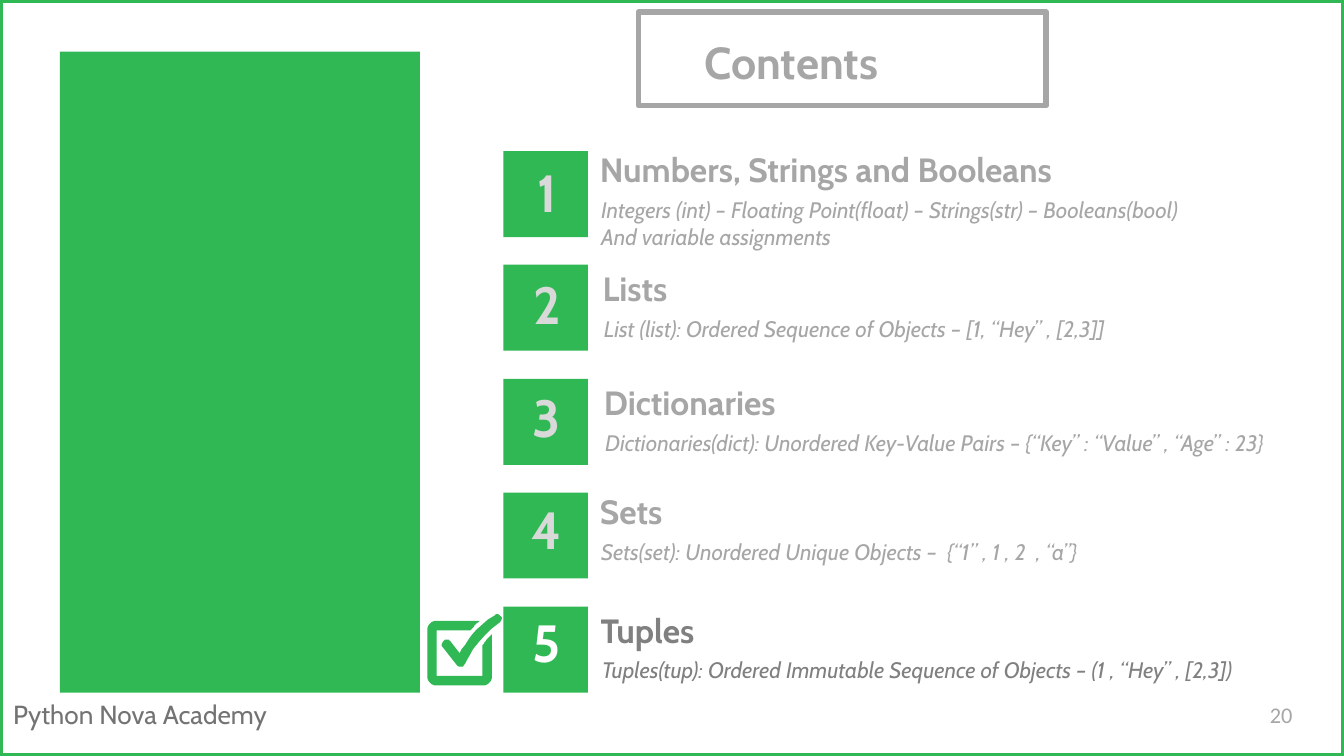
from pptx import Presentation
from pptx.dml.color import RGBColor as RGB
from pptx.enum.shapes import MSO_SHAPE as Shape
from pptx.enum.text import MSO_ANCHOR as Anchor, MSO_AUTO_SIZE as Auto, PP_ALIGN as Align
from pptx.util import Pt

PX = 4572
WIDE, HIGH = 2000, 1125
GREEN, GREY, DARK, PALE, WHITE = "30B854", "A6A6A6", "808080", "D9D9D9", "FFFFFF"

ROWS = [
    ("Numbers, Strings and Booleans",
     "Integers (int) – Floating Point(float) – Strings(str) – Booleans(bool)\n"
     "And variable assignments", 873, 200, 994),
    ("Lists", "List (list): Ordered Sequence of Objects – [1, “Hey” , [2,3]]", 877, 377, 994),
    ("Dictionaries",
     "Dictionaries(dict): Unordered Key-Value Pairs – {“Key” : “Value” , “Age” : 23}",
     879, 547, 1108),
    ("Sets", "Sets(set): Unordered Unique Objects –  {“1” , 1 , 2  , “a”}", 873, 709, 994),
    ("Tuples", "Tuples(tup): Ordered Immutable Sequence of Objects – (1 , “Hey” , [2,3])",
     874, 885, 1048),
]

TICK = [
    (740, 914), (738, 914, 738, 914, 736, 916), (708, 932, 692, 958, 684, 972),
    (670, 954), (668, 952, 666, 952, 664, 952), (662, 952, 662, 952, 660, 954),
    (658, 956, 656, 960, 658, 962), (680, 990), (682, 992, 684, 992, 686, 992),
    (688, 992, 690, 992, 692, 988), (692, 988, 708, 950, 744, 926),
    (746, 924, 748, 920, 746, 918), (744, 916, 742, 914, 740, 914),
]
FRAME = [
    (718, 960), (718, 1006), (650, 1006), (650, 938), (700, 938),
    (704, 934, 708, 928, 714, 924), (650, 924), (642, 924, 636, 930, 636, 938),
    (636, 1006), (636, 1014, 642, 1020, 650, 1020), (718, 1020),
    (726, 1020, 732, 1014, 732, 1006), (732, 944), (726, 950, 722, 954, 718, 960),
]


def color(code):
    return RGB.from_string(code)


def place(shape, *box):
    shape.left, shape.top, shape.width, shape.height = [n * PX for n in box]


def paint(shape, fill=None, line=None):
    shape.shadow.inherit = False
    if fill:
        shape.fill.solid()
        shape.fill.fore_color.rgb = color(fill)
    else:
        shape.fill.background()
    if line:
        shape.line.color.rgb = color(line)
        shape.line.width = Pt(3)
    else:
        shape.line.fill.background()


def add_rect(slide, *box, **style):
    rect = slide.shapes.add_shape(Shape.RECTANGLE, *[n * PX for n in box])
    paint(rect, **style)


def write(shape, text, size, tint, font="Cabin", bold=False, italic=False,
          align=Align.LEFT, anchor=Anchor.TOP, inset=20, space=None):
    frame = shape.text_frame
    frame.word_wrap = True
    frame.auto_size = Auto.NONE
    frame.vertical_anchor = anchor
    frame.margin_left = frame.margin_right = 20 * PX
    frame.margin_top = frame.margin_bottom = inset * PX
    frame.text = text
    for para in frame.paragraphs:
        para.alignment = align
        para.line_spacing = space
        for run in para.runs:
            run.font.name = font
            run.font.size = Pt(size)
            run.font.bold = bold
            run.font.italic = italic
            run.font.color.rgb = color(tint)


def add_text(slide, box, text, size, tint, **style):
    shape = slide.shapes.add_textbox(*[n * PX for n in box])
    write(shape, text, size, tint, **style)


def trace(moves, steps=8):
    points = [moves[0]]
    for move in moves[1:]:
        if len(move) == 2:
            points.append(move)
            continue
        start, ends = points[-1], (move[:2], move[2:4], move[4:])
        for step in range(1, steps + 1):
            t = step / steps
            u = 1 - t
            points.append(tuple(
                u**3 * a + 3 * u * u * t * b + 3 * u * t * t * c + t**3 * d
                for a, b, c, d in zip(start, *ends)))
    return points


def add_check(slide):
    group = slide.shapes.add_group_shape()
    for moves in (TICK, FRAME):
        first, *rest = trace(moves)
        path = group.shapes.build_freeform(*first, scale=PX)
        path.add_line_segments(rest, close=True)
        paint(path.convert_to_shape(), fill=GREEN)


def add_row(slide, index, head, note, left, top, width):
    last = index == len(ROWS) - 1
    tint = DARK if last else GREY
    add_rect(slide, 749, 225 + index * 339 // 2, 126, 128, fill=GREEN)
    add_text(slide, (676, 215 + index * 335 // 2, 276, 140), str(index + 1), 28,
             WHITE if last else PALE, bold=True, align=Align.CENTER, anchor=Anchor.MIDDLE)
    add_text(slide, (left, top, 1158, 102), head, 18, tint, bold=True, anchor=Anchor.BOTTOM)
    add_text(slide, (left + 2, top + 72, width, 110), note, 12, tint, italic=True)


def main():
    deck = Presentation()
    deck.slide_width, deck.slide_height = WIDE * PX, HIGH * PX
    slide = deck.slides.add_slide(deck.slide_layouts[5])
    add_text(slide, (0, 1030, 510, 68), "Python Nova Academy", 14, "737373", inset=10)
    add_rect(slide, 950, 18, 607, 139, line=GREY)
    add_rect(slide, 89, 77, 536, 954, fill=GREEN)
    add_rect(slide, 0, 0, WIDE, HIGH, line=GREEN)
    title = slide.shapes.title
    place(title, 1028, 44, 424, 82)
    write(title, "Contents", 24, GREY, bold=True, anchor=Anchor.MIDDLE, space=1.15)
    add_text(slide, (1870, 1021, 120, 86), "20", 12, GREY, font="Calibri", anchor=Anchor.MIDDLE)
    for index, row in enumerate(ROWS):
        add_row(slide, index, *row)
    add_check(slide)
    deck.save("out.pptx")


if __name__ == "__main__":
    main()
